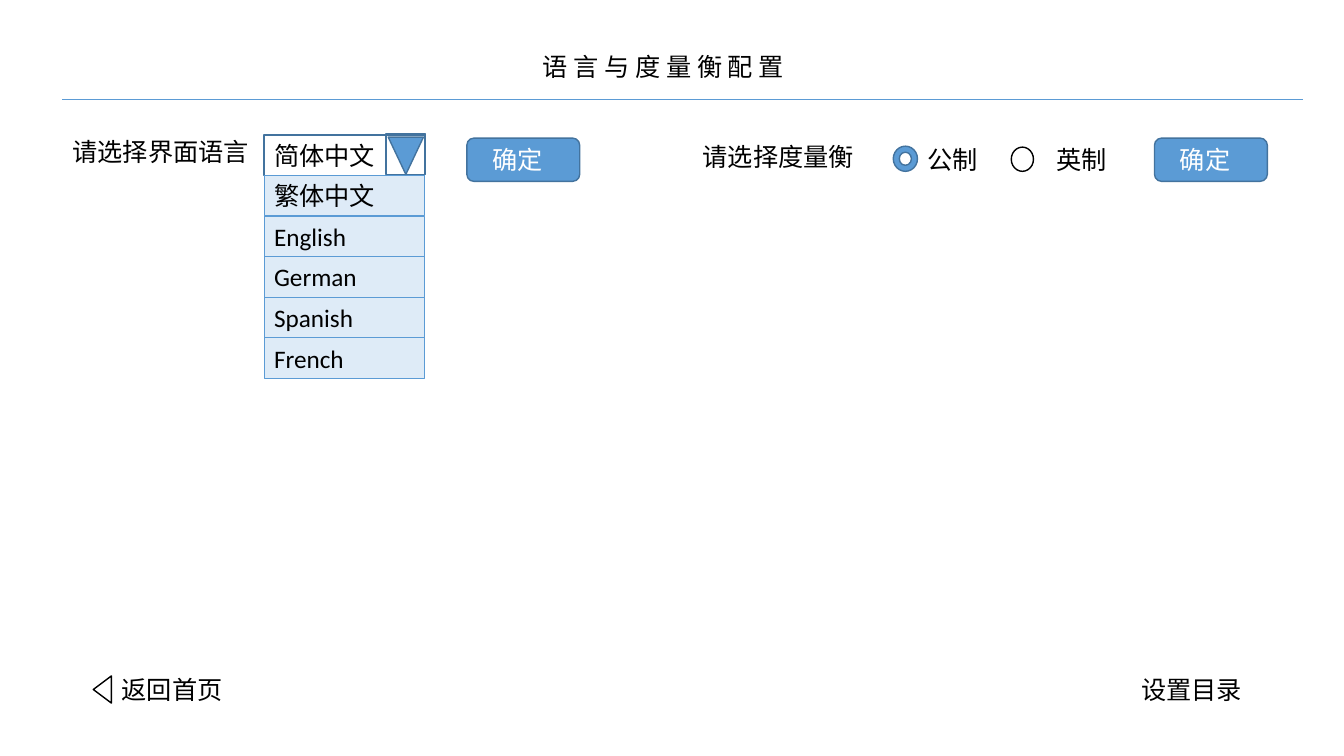
from lxml import etree
from pptx import Presentation
from pptx.dml.color import RGBColor
from pptx.enum.shapes import MSO_CONNECTOR, MSO_SHAPE
from pptx.enum.text import MSO_ANCHOR, MSO_AUTO_SIZE, PP_ALIGN
from pptx.oxml.ns import qn
from pptx.util import Inches, Pt

RECTANGLE = MSO_SHAPE.RECTANGLE
ROUNDED = MSO_SHAPE.ROUNDED_RECTANGLE
TRIANGLE = MSO_SHAPE.ISOSCELES_TRIANGLE
DONUT = MSO_SHAPE.DONUT
OVAL = MSO_SHAPE.OVAL
STRAIGHT = MSO_CONNECTOR.STRAIGHT
LEFT, CENTER = PP_ALIGN.LEFT, PP_ALIGN.CENTER
TOP = MSO_ANCHOR.TOP
FIT_SHAPE = MSO_AUTO_SIZE.SHAPE_TO_FIT_TEXT

BLACK = RGBColor(0x00, 0x00, 0x00)
WHITE = RGBColor(0xFF, 0xFF, 0xFF)
BLUE = RGBColor(0x5B, 0x9B, 0xD5)
DARK_BLUE = RGBColor(0x43, 0x73, 0x9E)
PALE_BLUE = RGBColor(0xDE, 0xEB, 0xF7)
LATIN_FONT = "Calibri"
CHINESE_FONT = "Noto Sans CJK SC"

TEXT_HEIGHT = 0.4
TITLE = "语 言 与 度 量 衡 配 置"
LABELS = [  # text, left, top, width
    ("返回首页", 1.11, 6.64, 1.27),
    ("设置目录", 11.22, 6.64, 1.27),
    ("请选择界面语言", 0.62, 1.3, 1.99),
    ("请选择度量衡", 6.87, 1.35, 1.99),
    ("公制", 9.1, 1.38, 0.93),
    ("英制", 10.38, 1.38, 0.93),
]
SELECTED_LANGUAGE = "简体中文"
OTHER_LANGUAGES = ["繁体中文", "English", "German", "Spanish", "French"]
LIST_LEFT, LIST_TOP, LIST_WIDTH, ROW_STEP = 2.62, 1.34, 1.59, 0.4025
CONFIRM = "确定"
CONFIRM_LEFTS = [4.63, 11.45]

presentation = Presentation()
presentation.slide_width = Inches(13.33)
presentation.slide_height = Inches(7.5)
slide = presentation.slides.add_slide(presentation.slide_layouts[6])


def write_text(shape, text, color=BLACK, font=LATIN_FONT, align=LEFT):
    """Write one 18-point paragraph into a shape that grows with its text."""
    frame = shape.text_frame
    frame.word_wrap = True
    frame.auto_size = FIT_SHAPE
    frame.vertical_anchor = TOP
    paragraph = frame.paragraphs[0]
    paragraph.alignment = align
    run = paragraph.add_run()
    run.text = text
    run.font.size = Pt(18)
    run.font.name = font
    run.font.color.rgb = color
    east_asian = etree.SubElement(run.font._element, qn("a:ea"))
    east_asian.set("typeface", CHINESE_FONT)


def add_label(text, left, top, width, **text_format):
    """Add a one-line text box."""
    box = slide.shapes.add_textbox(
        Inches(left), Inches(top), Inches(width), Inches(TEXT_HEIGHT))
    write_text(box, text, **text_format)


def add_outline(kind, left, top, width, height, fill=None, line=DARK_BLUE,
                weight=1, rotation=0):
    """Add a preset shape with a flat fill, or none, and an outline."""
    shape = slide.shapes.add_shape(
        kind, Inches(left), Inches(top), Inches(width), Inches(height))
    shape.shadow.inherit = False
    shape.rotation = rotation
    if fill is None:
        shape.fill.background()
    else:
        shape.fill.solid()
        shape.fill.fore_color.rgb = fill
    shape.line.color.rgb = line
    shape.line.width = Pt(weight)
    return shape


def add_rule(left, right, top):
    """Add the thin horizontal line under the title."""
    rule = slide.shapes.add_connector(
        STRAIGHT, Inches(left), Inches(top), Inches(right), Inches(top))
    rule.line.color.rgb = BLUE
    rule.line.width = Pt(0.5)
    etree.SubElement(rule._element.spPr, qn("a:effectLst"))


def add_language_list():
    """Add the open drop-down list and its arrow button."""
    selected = add_outline(RECTANGLE, LIST_LEFT, LIST_TOP, LIST_WIDTH, TEXT_HEIGHT)
    write_text(selected, SELECTED_LANGUAGE)
    for row, language in enumerate(OTHER_LANGUAGES, start=1):
        option = add_outline(
            RECTANGLE, LIST_LEFT, LIST_TOP + row * ROW_STEP, LIST_WIDTH,
            TEXT_HEIGHT, fill=PALE_BLUE, line=BLUE, weight=0.75)
        write_text(option, language)
    add_outline(TRIANGLE, 3.85, 1.36, 0.35, 0.37, fill=BLUE, rotation=180)
    add_outline(RECTANGLE, 3.83, 1.33, 0.39, 0.4)


def add_confirm_button(left):
    """Add a rounded button with its caption."""
    add_outline(ROUNDED, left, 1.37, 1.12, 0.43, fill=BLUE)
    add_label(CONFIRM, left + 0.155, 1.38, 0.96, color=WHITE)


add_label(TITLE, 2.78, 0.46, 7.6, font=CHINESE_FONT, align=CENTER)
add_rule(0.62, 12.92, 0.99)
for label in LABELS:
    add_label(*label)
add_outline(TRIANGLE, 0.88, 6.75, 0.27, 0.18, fill=WHITE, line=BLACK, rotation=270)
add_language_list()
add_outline(DONUT, 8.86, 1.45, 0.24, 0.25, fill=BLUE)
add_outline(OVAL, 10.03, 1.46, 0.22, 0.24, fill=WHITE, line=BLACK)
for confirm_left in CONFIRM_LEFTS:
    add_confirm_button(confirm_left)

presentation.save("out.pptx")
